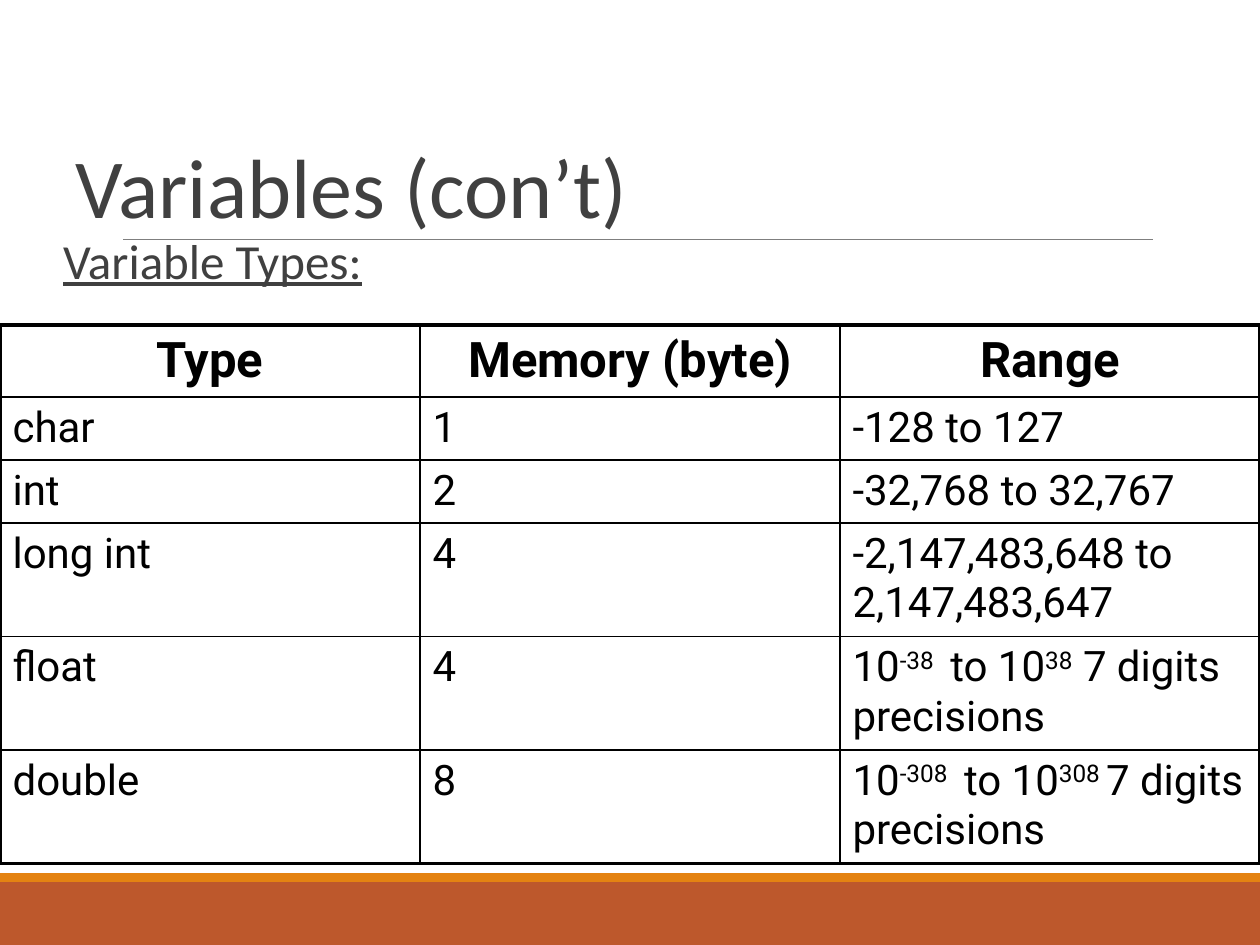
from dataclasses import dataclass

from lxml.etree import SubElement
from pptx import Presentation
from pptx.dml.color import RGBColor as RGB
from pptx.enum.shapes import MSO_CONNECTOR as Connector, MSO_SHAPE as Shape
from pptx.enum.text import MSO_ANCHOR as Anchor, PP_ALIGN as Align
from pptx.oxml.ns import qn
from pptx.util import Inches, Pt


@dataclass(frozen=True)
class Theme:
    heading_font: str = "Calibri"
    table_font: str = "Roboto"
    text: RGB = RGB(0x40, 0x40, 0x40)
    black: RGB = RGB(0, 0, 0)
    rule: RGB = RGB(0x7F, 0x7F, 0x7F)
    footer: RGB = RGB(0xBD, 0x58, 0x2C)
    stripe: RGB = RGB(0xE4, 0x83, 0x12)
    title_size: Pt = Pt(48)
    subtitle_size: Pt = Pt(28)
    header_size: Pt = Pt(28)
    cell_size: Pt = Pt(24)
    inner_border: Pt = Pt(1)
    outer_border: Pt = Pt(2.25)


theme = Theme()


def style_font(paragraph, name, size, color):
    paragraph.font.name = name
    paragraph.font.size = size
    paragraph.font.color.rgb = color


def add_border(cell, side, width):
    line = SubElement(cell._tc.get_or_add_tcPr(), qn(f"a:ln{side}"), w=str(width))
    fill = SubElement(line, qn("a:solidFill"))
    SubElement(fill, qn("a:srgbClr"), val=str(theme.black))


deck = Presentation()
deck.slide_width = Inches(10)
deck.slide_height = Inches(7.5)
page = deck.slides.add_slide(deck.slide_layouts[5])

for top, height, color in [(7, 0.5, theme.footer), (6.93, 0.07, theme.stripe)]:
    band = page.shapes.add_shape(
        Shape.RECTANGLE, 0, Inches(top), Inches(10), Inches(height)
    )
    band.shadow.inherit = False
    band.fill.solid()
    band.fill.fore_color.rgb = color
    band.line.fill.background()

rule = page.shapes.add_connector(
    Connector.STRAIGHT, Inches(0.98), Inches(1.9), Inches(9.15), Inches(1.9)
)
rule.line.color.rgb = theme.rule
rule.line.width = Pt(0.75)
SubElement(rule._element.spPr, qn("a:effectLst"))

title = page.shapes.title
title.left, title.top = Inches(0.5), Inches(0.42)
title.width, title.height = Inches(9), Inches(1.5)
title.text_frame.text = "Variables (con’t)"
title.text_frame.vertical_anchor = Anchor.BOTTOM
para = title.text_frame.paragraphs[0]
para.alignment = Align.LEFT
para.line_spacing = 0.85
style_font(para, theme.heading_font, theme.title_size, theme.text)

subtitle = page.shapes.add_textbox(
    Inches(0.5), Inches(1.83), Inches(4.42), Inches(0.75)
)
frame = subtitle.text_frame
frame.word_wrap = True
frame.margin_left = frame.margin_right = 0
frame.text = "Variable Types:"
para = frame.paragraphs[0]
para.line_spacing = 0.9
style_font(para, theme.heading_font, theme.subtitle_size, theme.text)
para.font.underline = True

# Odd-numbered pieces of a cell are superscripts.
rows = [
    (0.57, ["Type"], ["Memory (byte)"], ["Range"]),
    (0.5, ["char"], ["1"], ["-128 to 127"]),
    (0.5, ["int"], ["2"], ["-32,768 to 32,767"]),
    (0.9, ["long int"], ["4"], ["-2,147,483,648 to 2,147,483,647"]),
    (0.9, ["float"], ["4"], ["10", "-38 ", " to 10", "38", " 7 digits precisions"]),
    (0.9, ["double"], ["8"], ["10", "-308 ", " to 10", "308 ", "7 digits precisions"]),
]
column_count = 3
table = page.shapes.add_table(
    len(rows), column_count, 0, Inches(2.58), Inches(10),
    Inches(sum(row[0] for row in rows)),
).table
table.first_row = True
table.horz_banding = False

for row_index, (height, *texts) in enumerate(rows):
    table.rows[row_index].height = Inches(height)
    is_header = row_index == 0
    for column_index, pieces in enumerate(texts):
        cell = table.cell(row_index, column_index)
        outer_sides = {
            "L": column_index == 0,
            "R": column_index == column_count - 1,
            "T": is_header,
            "B": row_index == len(rows) - 1,
        }
        for side, is_outer in outer_sides.items():
            add_border(cell, side, theme.outer_border if is_outer else theme.inner_border)
        cell.fill.background()
        cell.vertical_anchor = Anchor.MIDDLE if is_header else Anchor.TOP
        para = cell.text_frame.paragraphs[0]
        para.alignment = Align.CENTER if is_header else Align.LEFT
        size = theme.header_size if is_header else theme.cell_size
        style_font(para, theme.table_font, size, theme.black)
        para.font.bold = is_header
        for piece_index, piece in enumerate(pieces):
            span = para.add_run()
            span.text = piece
            if piece_index % 2:
                span._r.get_or_add_rPr().set("baseline", "30000")

deck.save("out.pptx")
